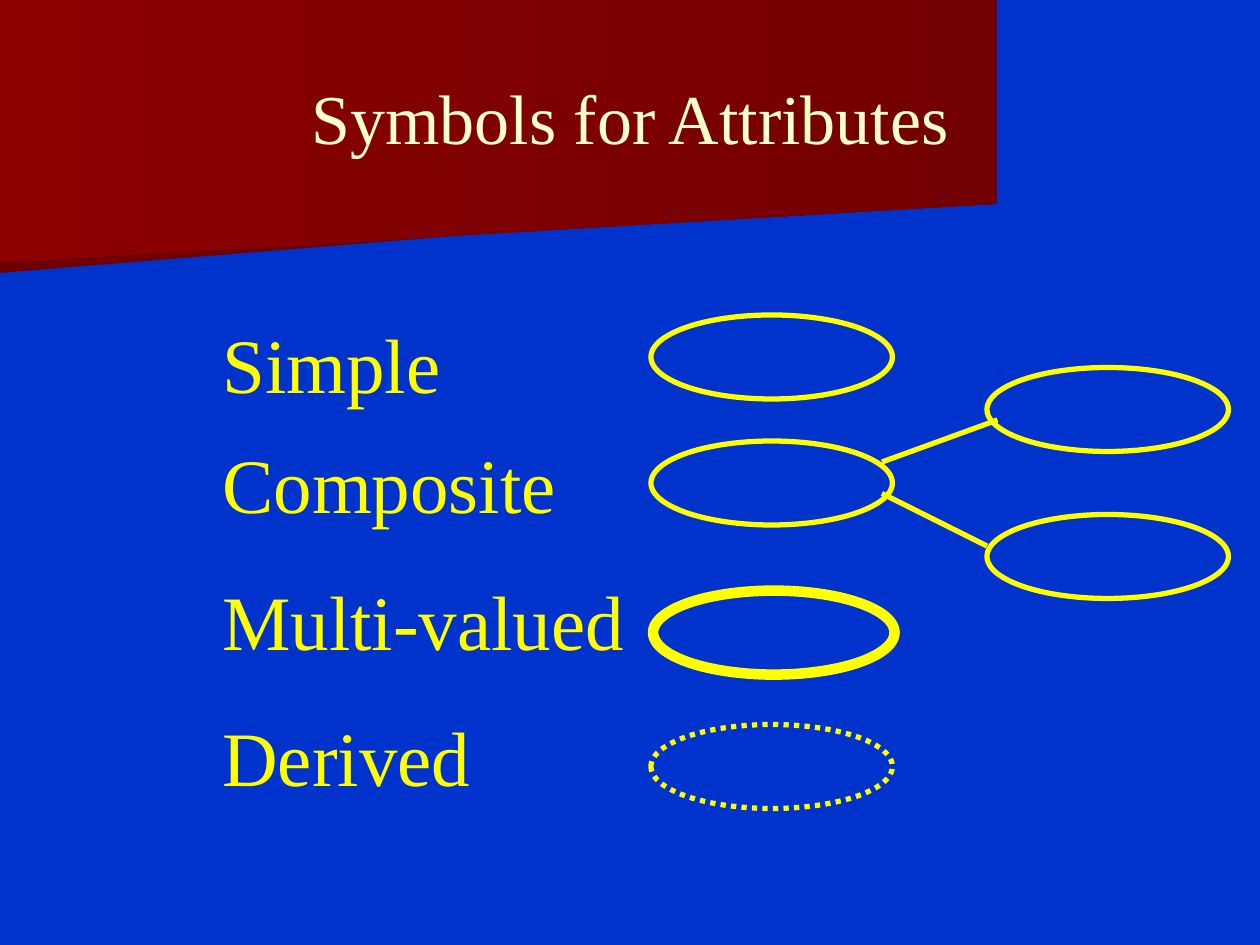
from lxml import etree
from pptx import Presentation
from pptx.dml.color import RGBColor
from pptx.enum.dml import MSO_LINE
from pptx.enum.shapes import MSO_CONNECTOR, MSO_SHAPE
from pptx.enum.text import MSO_ANCHOR, MSO_AUTO_SIZE, PP_ALIGN
from pptx.oxml.ns import qn
from pptx.util import Inches, Pt

COLUMNS, ROWS = 120, 90
FONT = "Times New Roman"
BACKGROUND, YELLOW, CREAM = "0033CC", "FFFF00", "FFFFCC"
LABEL_COLUMN, SYMBOL_COLUMN, PART_COLUMN = 20, 62, 94
SYMBOL_SIZE = (23, 8)

# label, its row, width and height, line spacing
LABELS = [
    ("Simple", 26, 34, 13.5, 1.4),
    ("Composite", 41, 34.2, 10, None),
    ("Multi-valued", 54, 40.7, 10, None),
    ("Derived", 67, 26, 10, None),
]
# column, row, line width, dash
SYMBOLS = [
    (SYMBOL_COLUMN, 30, 3, None),
    (SYMBOL_COLUMN, 42, 3, None),
    (PART_COLUMN, 35, 3, None),
    (PART_COLUMN, 49, 3, None),
    (SYMBOL_COLUMN + 0.2, 56.25, 6, None),
    (SYMBOL_COLUMN, 69, 3, MSO_LINE.ROUND_DOT),
]
# start and end of the lines from the composite attribute to its parts
PART_LINKS = [((84, 44), (95, 40)), ((84, 47), (94, 52))]
# outline, left and right gradient colours, front one first
BANNER = [
    ([(95, 19.4), (0, 25), (0, 0), (95, 0)], "8C0000", "720000"),
    ([(93.4, 18.4), (0, 26), (0, 12.1), (93.4, 12.1)], "6F0000", "720000"),
]


def grid(*cells):
    """Turn grid counts into lengths; a cell is a twelfth of an inch square."""
    return [Inches(10 / COLUMNS * cell) for cell in cells]


def colour(hex_string):
    """Return the colour for a hex string."""
    return RGBColor.from_string(hex_string)


def style_text(paragraph, size, hex_string):
    """Set the typeface, size and colour of a paragraph."""
    paragraph.font.name = FONT
    paragraph.font.size = Pt(size)
    paragraph.font.color.rgb = colour(hex_string)


def style_line(line, width, dash=None):
    """Give an outline or a link its yellow stroke."""
    line.color.rgb = colour(YELLOW)
    line.width = Pt(width)
    if dash is not None:
        line.dash_style = dash


def add_banner_layer(slide, outline, left_colour, right_colour):
    """Add one gradient polygon behind everything else."""
    start, *others = [tuple(grid(*point)) for point in outline]
    builder = slide.shapes.build_freeform(*start)
    builder.add_line_segments(others, close=True)
    layer = builder.convert_to_shape()
    layer.shadow.inherit = False
    layer.line.fill.background()
    layer.fill.gradient()
    layer.fill.gradient_angle = 0
    stops = layer.fill.gradient_stops
    for stop, position, shade in zip(stops, (0, 1), (left_colour, right_colour)):
        stop.position = position
        stop.color.rgb = colour(shade)
    slide.shapes._spTree.insert(2, layer._element)


def set_title(slide, wording):
    """Place and format the title placeholder."""
    title = slide.shapes.title
    title.left, title.top, title.width, title.height = grid(6, 3.6, 108, 15)
    title.text_frame.text = wording
    title.text_frame.vertical_anchor = MSO_ANCHOR.MIDDLE
    heading = title.text_frame.paragraphs[0]
    heading.alignment = PP_ALIGN.CENTER
    style_text(heading, 40, CREAM)


def add_label(slide, wording, row, width, height, spacing):
    """Add the name of an attribute kind."""
    box = slide.shapes.add_textbox(*grid(LABEL_COLUMN, row, width, height))
    frame = box.text_frame
    frame.text = wording
    frame.word_wrap = spacing is not None
    frame.auto_size = MSO_AUTO_SIZE.SHAPE_TO_FIT_TEXT
    label = frame.paragraphs[0]
    style_text(label, 44, YELLOW)
    if spacing:
        label.line_spacing = spacing


def add_symbol(slide, column, row, width, dash):
    """Add an unfilled attribute ellipse."""
    symbol = slide.shapes.add_shape(
        MSO_SHAPE.OVAL, *grid(column, row, *SYMBOL_SIZE))
    symbol.shadow.inherit = False
    symbol.fill.background()
    style_line(symbol.line, width, dash)


def add_link(slide, start, end):
    """Join a composite attribute to one of its parts."""
    link = slide.shapes.add_connector(
        MSO_CONNECTOR.STRAIGHT, *grid(*start, *end))
    style_line(link.line, 3)
    etree.SubElement(link._element.spPr, qn("a:effectLst"))


def main():
    """Build and save the slide."""
    presentation = Presentation()
    presentation.slide_width, presentation.slide_height = grid(COLUMNS, ROWS)
    slide = presentation.slides.add_slide(presentation.slide_layouts[5])
    slide.background.fill.solid()
    slide.background.fill.fore_color.rgb = colour(BACKGROUND)
    set_title(slide, "Symbols for Attributes")
    for layer in BANNER:
        add_banner_layer(slide, *layer)
    for symbol in SYMBOLS:
        add_symbol(slide, *symbol)
    for link in PART_LINKS:
        add_link(slide, *link)
    for label in LABELS:
        add_label(slide, *label)
    presentation.save("out.pptx")


main()
